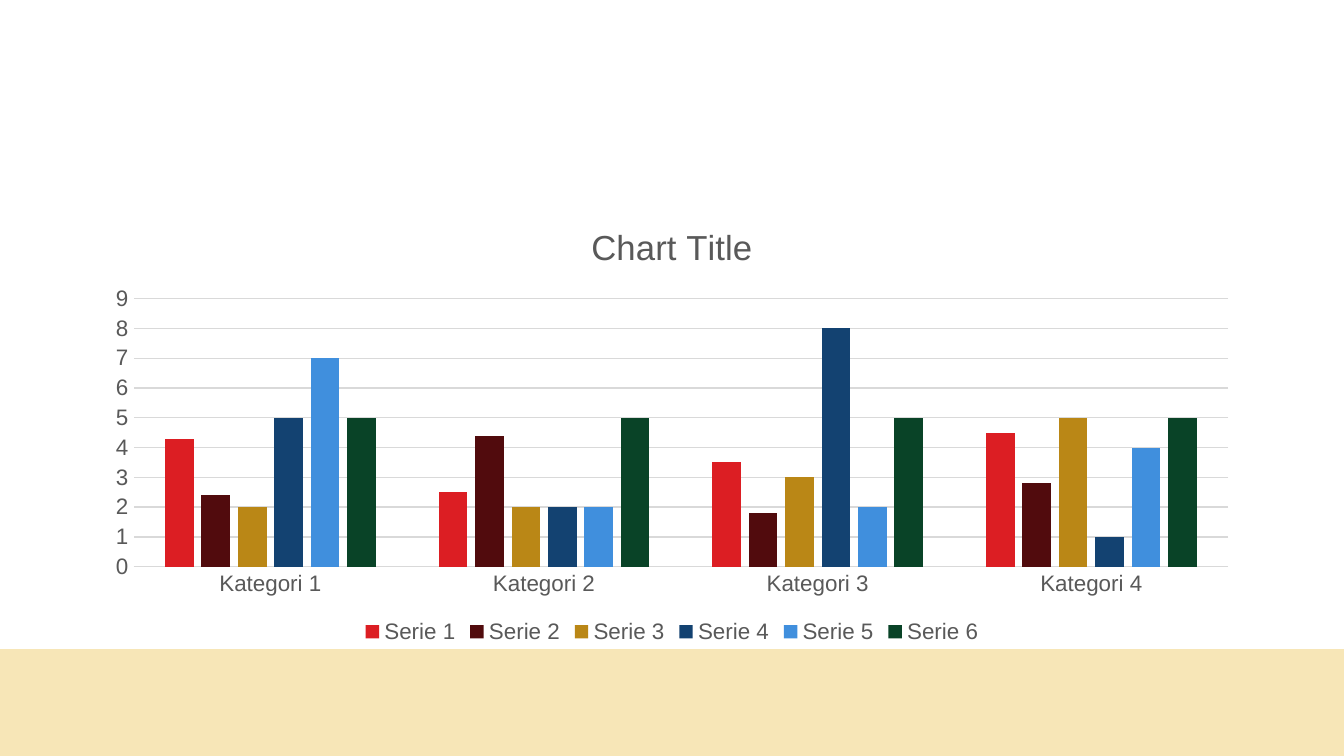
from dataclasses import dataclass

from pptx import Presentation
from pptx.chart.chart import Chart
from pptx.chart.data import CategoryChartData
from pptx.dml.color import RGBColor
from pptx.dml.line import LineFormat
from pptx.enum.chart import XL_CHART_TYPE as ChartType
from pptx.enum.chart import XL_LEGEND_POSITION as LegendPosition
from pptx.enum.chart import XL_TICK_MARK as TickMark
from pptx.enum.shapes import MSO_SHAPE as ShapeType
from pptx.slide import Slide
from pptx.text.text import Font
from pptx.util import Inches, Pt

SLIDE_WIDTH = 10
SLIDE_HEIGHT = SLIDE_WIDTH * 9 / 16

FONT_NAME = "Arial"
WHITE = RGBColor(0xFF, 0xFF, 0xFF)
SAND = RGBColor(0xF7, 0xE6, 0xB7)
TEXT_GRAY = RGBColor(0x59, 0x59, 0x59)
LINE_GRAY = RGBColor(0xD9, 0xD9, 0xD9)
RED = RGBColor(0xDC, 0x1E, 0x23)
MAROON = RGBColor(0x51, 0x0B, 0x0D)
GOLD = RGBColor(0xBA, 0x87, 0x16)
NAVY = RGBColor(0x13, 0x42, 0x71)
SKY_BLUE = RGBColor(0x40, 0x8F, 0xDD)
GREEN = RGBColor(0x09, 0x43, 0x27)


@dataclass(frozen=True)
class Series:
    name: str
    values: tuple[float, ...]
    color: RGBColor


CATEGORIES = [f"Kategori {number}" for number in range(1, 5)]
SERIES = (
    Series("Serie 1", (4.3, 2.5, 3.5, 4.5), RED),
    Series("Serie 2", (2.4, 4.4, 1.8, 2.8), MAROON),
    Series("Serie 3", (2, 2, 3, 5), GOLD),
    Series("Serie 4", (5, 2, 8, 1), NAVY),
    Series("Serie 5", (7, 2, 2, 4), SKY_BLUE),
    Series("Serie 6", (5, 5, 5, 5), GREEN),
)


def style_font(font: Font, size: float = 12) -> None:
    font.name = FONT_NAME
    font.size = Pt(size)
    font.bold = False
    font.color.rgb = TEXT_GRAY


def style_line(line: LineFormat) -> None:
    line.color.rgb = LINE_GRAY
    line.width = Pt(0.75)


def add_footer_band(slide: Slide) -> None:
    band = slide.shapes.add_shape(
        ShapeType.RECTANGLE,
        Inches(0), Inches(4.83), Inches(SLIDE_WIDTH), Inches(0.82),
    )
    band.shadow.inherit = False
    band.fill.solid()
    band.fill.fore_color.rgb = SAND
    band.line.fill.background()


def add_column_chart(slide: Slide) -> Chart:
    data = CategoryChartData()
    data.categories = CATEGORIES
    for series in SERIES:
        data.add_series(series.name, series.values)
    chart = slide.shapes.add_chart(
        ChartType.COLUMN_CLUSTERED,
        Inches(0.69), Inches(1.5), Inches(8.62), Inches(3.33), data,
    ).chart
    style_font(chart.font)

    # Columns
    plot = chart.plots[0]
    plot.vary_by_categories = False
    plot.gap_width = 219
    plot.overlap = -27
    for column, series in zip(plot.series, SERIES):
        column.format.fill.solid()
        column.format.fill.fore_color.rgb = series.color
    return chart


def format_title(chart: Chart) -> None:
    chart.has_title = True
    chart.chart_title.include_in_layout = False
    paragraph = chart.chart_title.text_frame.paragraphs[0]
    run = paragraph.add_run()
    run.text = "Chart Title"
    style_font(run.font, 18.6)


def format_axes(chart: Chart) -> None:
    for axis in (chart.category_axis, chart.value_axis):
        axis.major_tick_mark = TickMark.NONE
        axis.minor_tick_mark = TickMark.NONE
        style_font(axis.tick_labels.font)
    style_line(chart.category_axis.format.line)

    value_axis = chart.value_axis
    value_axis.minimum_scale = 0
    value_axis.maximum_scale = 9
    value_axis.major_unit = 1
    value_axis.format.line.fill.background()
    value_axis.has_major_gridlines = True
    style_line(value_axis.major_gridlines.format.line)


def format_legend(chart: Chart) -> None:
    chart.has_legend = True
    chart.legend.position = LegendPosition.BOTTOM
    chart.legend.include_in_layout = False
    style_font(chart.legend.font)


def main() -> None:
    presentation = Presentation()
    presentation.slide_width = Inches(SLIDE_WIDTH)
    presentation.slide_height = Inches(SLIDE_HEIGHT)

    # Blank layout with a white background
    slide = presentation.slides.add_slide(presentation.slide_layouts[6])
    slide.background.fill.solid()
    slide.background.fill.fore_color.rgb = WHITE

    add_footer_band(slide)
    chart = add_column_chart(slide)
    format_title(chart)
    format_axes(chart)
    format_legend(chart)

    presentation.save("out.pptx")


if __name__ == "__main__":
    main()
